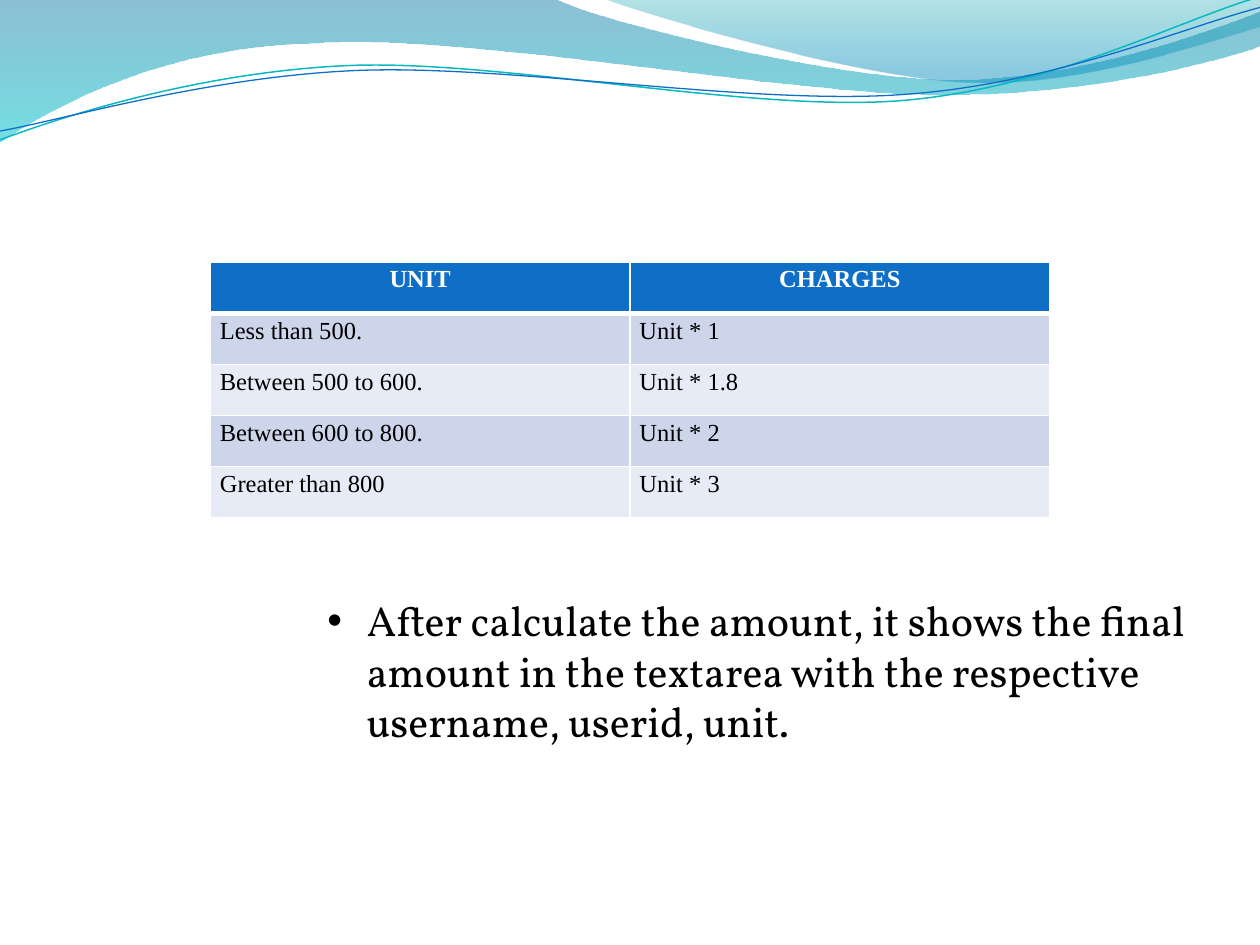
import math

import pptx
import pptx.dml.color
import pptx.enum.text
import pptx.oxml
import pptx.oxml.ns
import pptx.util
from pptx.util import Inches

NAMESPACE = 'xmlns:a="http://schemas.openxmlformats.org/drawingml/2006/main"'
CENTER = pptx.enum.text.PP_ALIGN.CENTER

CHARGES = [
    ("UNIT", "CHARGES"),
    ("Less than 500.", "Unit * 1"),
    ("Between 500 to 600.", "Unit * 1.8"),
    ("Between 600 to 800.", "Unit * 2"),
    ("Greater than 800", "Unit * 3"),
]
WIDE_WAVE = [
    [(0, 0)], [(4.4, -0.01)],
    [(4.76, 0.17), (6.64, 0.63), (7.58, 0.63)], [(8.53, 0.63), (9.58, 0.26), (10, 0.09)],
    [(10.01, 0.36)],
    [(9.83, 0.44), (8.7, 0.76), (7.46, 0.75)], [(6.22, 0.75), (3.82, 0.28), (2.57, 0.34)],
    [(1.29, 0.36), (0.46, 0.83), (-0.01, 1.13)],
]
RIGHT_WAVE = [
    [(4.79, -0.01)],
    [(5.09, 0.11), (6.82, 0.62), (7.69, 0.65)], [(8.56, 0.69), (9.61, 0.32), (10, 0.21)],
    [(10, 0)],
]
TEAL_LINE = [
    [(0, 1.11)],
    [(0.48, 0.93), (1.58, 0.57), (2.77, 0.52)], [(3.95, 0.47), (5.93, 0.89), (7.13, 0.8)],
    [(8.33, 0.71), (9.38, 0.15), (9.98, -0.02)],
]
BLUE_LINE = [
    [(0, 1.04)],
    [(0.47, 0.96), (1.64, 0.61), (2.83, 0.56)], [(4.03, 0.51), (5.97, 0.84), (7.17, 0.75)],
    [(8.36, 0.67), (9.41, 0.21), (10, 0.06)],
]


def colour(value):
    """Return the RGB colour for a hex string."""
    return pptx.dml.color.RGBColor.from_string(value)


def element(tag, attributes="", content=""):
    """Return a new drawing element."""
    return pptx.oxml.parse_xml(f"<a:{tag} {NAMESPACE} {attributes}>{content}</a:{tag}>")


def turn(segments, degrees, center):
    """Return the segments turned clockwise about a centre."""
    sine, cosine = math.sin(math.radians(degrees)), math.cos(math.radians(degrees))
    left, top = center
    return [[(left + (x - left) * cosine - (y - top) * sine,
              top + (x - left) * sine + (y - top) * cosine) for x, y in segment]
            for segment in segments]


def write(para, text, size, font, ink="000000", bold=False, align=None, spacing=None):
    """Add formatted text to a paragraph."""
    para.alignment = align
    para.line_spacing = spacing
    span = para.add_run()
    span.text = text
    span.font.size = pptx.util.Pt(size)
    span.font.name = font
    span.font.bold = bold
    span.font.color.rgb = colour(ink)


class Painter:
    """Hold the style and draw each kind of element on the current slide."""

    table_font = "Times New Roman"
    body_font = "Vollkorn"
    header = "0F6FC6"
    bands = ("E7EBF5", "CCD5EA")
    rule = "FFFFFF"
    tilt = -2.7

    def __init__(self, page):
        """Keep the slide to draw on."""
        self.page = page

    def outline(self, segments, close):
        """Draw a freeform of straight segments and cubic curves."""
        points = [(Inches(x), Inches(y)) for segment in segments for x, y in segment]
        builder = self.page.shapes.build_freeform(*points[0])
        builder.add_line_segments(points[1:], close=close)
        shape = builder.convert_to_shape()
        shape.shadow.inherit = False
        steps = iter(shape.element.spPr.findall(".//" + pptx.oxml.ns.qn("a:lnTo")))
        for segment in segments[1:]:
            nodes = [next(steps) for _ in segment]
            if len(nodes) == 3:
                curve = element("cubicBezTo")
                nodes[0].addprevious(curve)
                for node in nodes:
                    curve.append(node[0])
                    node.getparent().remove(node)
        return shape

    def wave(self, segments, stops):
        """Draw a closed wave with a translucent vertical gradient."""
        shape = self.outline(segments, close=True)
        shape.line.fill.background()
        shape.fill.gradient()
        shape.fill.gradient_angle = 270
        for stop, (position, value, _) in zip(shape.fill.gradient_stops, stops):
            stop.position = position
            stop.color.rgb = colour(value)
        tones = shape.element.spPr.findall(".//" + pptx.oxml.ns.qn("a:srgbClr"))
        for tone, (_, _, opacity) in zip(tones, stops):
            tone.append(element("alpha", f'val="{opacity * 1000}"'))

    def ripple(self, segments, center, value, width):
        """Draw an open curved line, tilted about its centre."""
        shape = self.outline(turn(segments, -self.tilt, center), close=False)
        shape.rotation = self.tilt
        shape.fill.background()
        shape.line.color.rgb = colour(value)
        shape.line.width = pptx.util.Pt(width)

    def cell(self, cell, text, row):
        """Fill, border and write one table cell."""
        is_header = row == 0
        cell.margin_left = cell.margin_right = pptx.util.Pt(5.4)
        cell.margin_top = cell.margin_bottom = 0
        properties = cell._tc.get_or_add_tcPr()
        widths = {"lnL": 1, "lnR": 1, "lnT": 3 if row == 1 else 1, "lnB": 3 if is_header else 1}
        for tag, width in widths.items():
            paint = f'<a:solidFill><a:srgbClr val="{self.rule}"/></a:solidFill>'
            properties.append(element(tag, f'w="{pptx.util.Pt(width)}"', paint))
        cell.fill.solid()
        cell.fill.fore_color.rgb = colour(self.header if is_header else self.bands[row % 2])
        write(cell.text_frame.paragraphs[0], text, 14, self.table_font,
              ink="FFFFFF" if is_header else "000000", bold=is_header,
              align=CENTER if is_header else None, spacing=1.15)

    def table(self, rows, left, top, width, height):
        """Draw a table with a header and banded rows."""
        frame = self.page.shapes.add_table(
            len(rows), len(rows[0]), Inches(left), Inches(top), Inches(width), Inches(height))
        for row, texts in enumerate(rows):
            for column, text in enumerate(texts):
                self.cell(frame.table.cell(row, column), text, row)

    def bullet(self, text, left, top, width, height):
        """Draw a text box with one bulleted paragraph."""
        box = self.page.shapes.add_textbox(
            Inches(left), Inches(top), Inches(width), Inches(height))
        box.text_frame.word_wrap = True
        box.text_frame.auto_size = pptx.enum.text.MSO_AUTO_SIZE.SHAPE_TO_FIT_TEXT
        para = box.text_frame.paragraphs[0]
        write(para, text, 24, self.body_font)
        properties = para._p.get_or_add_pPr()
        indent = pptx.util.Pt(22.5)
        properties.set("marL", str(indent))
        properties.set("indent", str(-indent))
        properties.append(element("buFont", 'typeface="Arial"'))
        properties.append(element("buChar", 'char="•"'))


def main():
    """Build the slide and save it."""
    deck = pptx.Presentation()
    deck.slide_width, deck.slide_height = Inches(10), Inches(7.5)
    painter = Painter(deck.slides.add_slide(deck.slide_layouts[6]))
    painter.wave(WIDE_WAVE, [(0, "0074A1", 45), (1, "00C6CF", 55)])
    painter.wave(RIGHT_WAVE, [(0, "00A1A9", 30), (0.8, "008BBF", 45)])
    painter.ripple(TEAL_LINE, (4.99, 0.58), "0AB8BF", 0.85)
    painter.ripple(BLUE_LINE, (5, 0.59), "0F6FC6", 0.75)
    painter.table(CHARGES, 1.67, 2.08, 6.66, 2.03)
    painter.bullet("After calculate the amount, it shows the final amount in the textarea "
                   "with the respective username, userid, unit.", 2.5, 4.67, 7.25, 1.31)
    deck.save("out.pptx")


if __name__ == "__main__":
    main()
